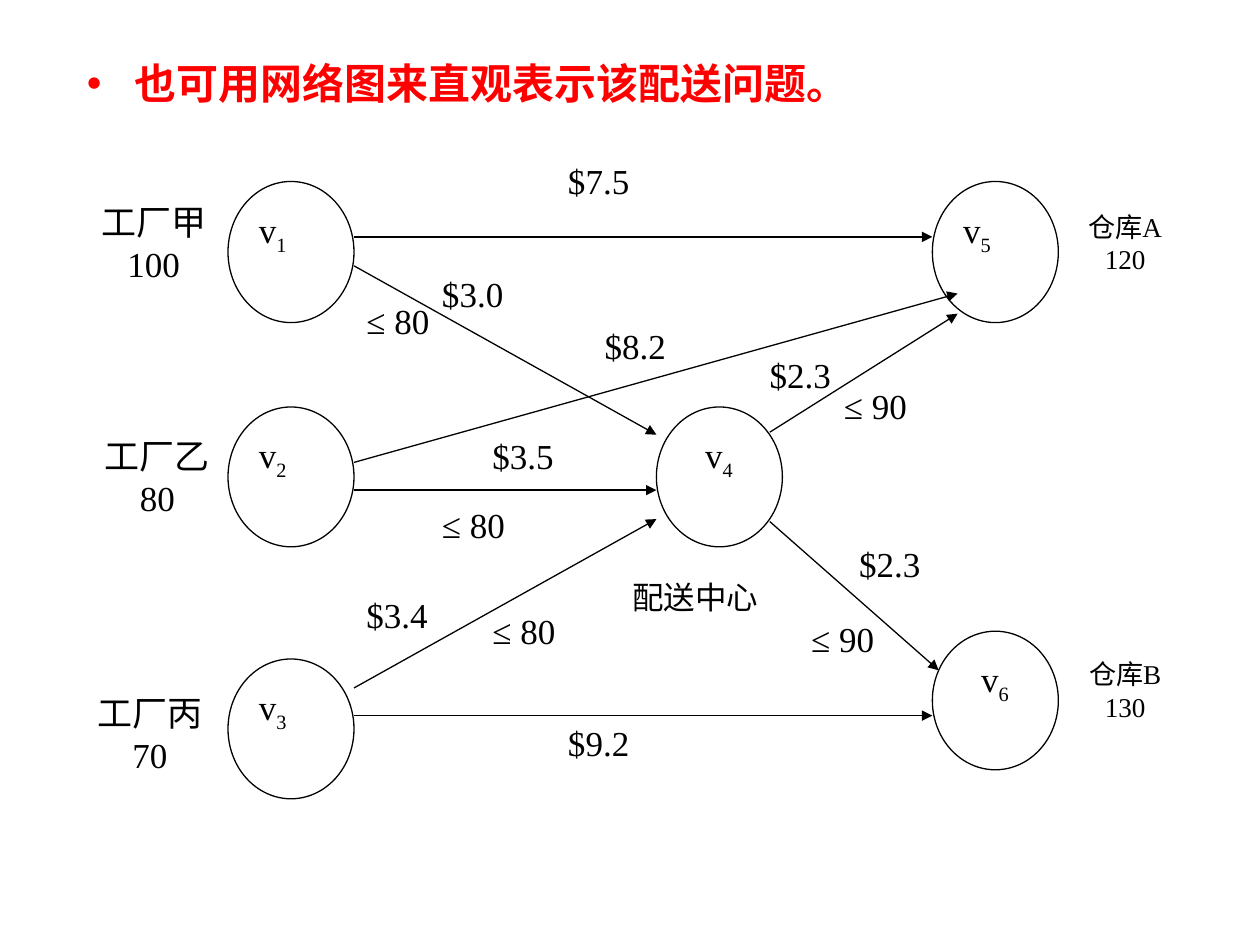
from lxml.etree import SubElement
from pptx import Presentation
from pptx.dml.color import RGBColor
from pptx.enum.shapes import MSO_CONNECTOR as Connector, MSO_SHAPE as Shape
from pptx.enum.text import MSO_ANCHOR as Anchor, MSO_AUTO_SIZE as AutoSize, PP_ALIGN as Align
from pptx.oxml.ns import qn
from pptx.util import Inches, Pt

COLORS = {"ink": "000000", "paper": "FFFFFF", "accent": "FF0000"}
FONT = "Times New Roman"

SITES = [
    (0.62, 1.54, 1.2, 20, "工厂甲", "100"),
    (0.65, 3.4, 1.2, 20, "工厂乙", "80"),
    (0.59, 5.44, 1.2, 20, "工厂丙", "70"),
    (8.23, 1.62, 1.4, 15.5, "仓库A", "120"),
    (8.23, 5.17, 1.4, 15.5, "仓库B", "130"),
]
EDGE_LABELS = [
    (4.41, 1.22, "$7.5"), (2.81, 2.33, "≤ 80"), (3.41, 2.11, "$3.0"),
    (4.7, 2.53, "$8.2"), (6.01, 2.76, "$2.3"), (6.6, 3, "≤ 90"),
    (3.81, 3.4, "$3.5"), (3.41, 3.95, "≤ 80"), (2.81, 4.66, "$3.4"),
    (3.81, 4.79, "≤ 80"), (6.72, 4.26, "$2.3"), (6.34, 4.85, "≤ 90"),
    (4.41, 5.68, "$9.2"),
]
NODES = [
    (1.81, 1.44, 1.12, "1", 0.1), (1.81, 3.23, 1.11, "2", 0.1),
    (1.81, 5.23, 1.11, "3", 0.1), (5.21, 3.23, 1.11, "4", 0.24),
    (7.4, 1.44, 1.12, "5", 0.1), (7.4, 5.01, 1.1, "6", 0.24),
]
ROUTES = [
    (2.81, 1.88, 7.4, 1.88), (2.81, 2.11, 5.21, 3.45),
    (2.81, 3.67, 7.6, 2.33), (2.81, 3.89, 5.21, 3.89),
    (2.81, 5.46, 5.21, 4.12), (2.81, 5.68, 7.4, 5.68),
    (6.11, 3.43, 7.6, 2.49), (6.11, 4.14, 7.45, 5.32),
]


def color(name):
    """Return the named palette colour."""
    return RGBColor.from_string(COLORS[name])


def style(para, size, ink="ink", bold=False):
    """Set the font of a whole paragraph."""
    para.font.name = FONT
    para.font.size = Pt(size)
    para.font.bold = bold
    para.font.color.rgb = color(ink)


def add_box(page, kind, place, outline, lines, size, align):
    """Add a white shape with top-anchored lines of text."""
    box = page.shapes.add_shape(kind, *map(Inches, place))
    box.shadow.inherit = False
    box.fill.solid()
    box.fill.fore_color.rgb = color("paper")
    box.line.color.rgb = color(outline)
    box.line.width = Pt(0.75)
    frame = box.text_frame
    frame.word_wrap = True
    frame.vertical_anchor = Anchor.TOP
    frame.text = "\n".join(lines)
    for para in frame.paragraphs:
        para.alignment = align
        style(para, size)
    return box


def add_node(page, left, top, height, number, inset):
    """Add a round network node named v with a subscript number."""
    node = add_box(page, Shape.OVAL, (left, top, 1, height), "ink", ["v"], 20, Align.JUSTIFY)
    node.text_frame.margin_left = Inches(inset)
    span = node.text_frame.paragraphs[0].add_run()
    span.text = number
    span.font._element.set("baseline", "-25000")


def add_route(page, ends):
    """Add a thin line with an arrowhead at its end."""
    route = page.shapes.add_connector(Connector.STRAIGHT, *map(Inches, ends))
    route.line.color.rgb = color("ink")
    route.line.width = Pt(0.75)
    SubElement(route.line._get_or_add_ln(), qn("a:tailEnd"), type="triangle")
    SubElement(route._element.spPr, qn("a:effectLst"))


def add_center_caption(page):
    """Add the caption below the distribution centre."""
    box = page.shapes.add_textbox(*map(Inches, (4.92, 4.54, 1.26, 0.4)))
    frame = box.text_frame
    frame.word_wrap = True
    frame.auto_size = AutoSize.SHAPE_TO_FIT_TEXT
    frame.text = "配送中心"
    style(frame.paragraphs[0], 18)


def fill_statement(page):
    """Put the bulleted statement in the body placeholder."""
    title = page.shapes.title
    title._element.getparent().remove(title._element)
    body = page.placeholders[1]
    body.left, body.top, body.width, body.height = map(Inches, (0.59, 0.41, 7.5, 0.5))
    frame = body.text_frame
    frame.auto_size = AutoSize.SHAPE_TO_FIT_TEXT
    frame.vertical_anchor = Anchor.TOP
    frame.text = "也可用网络图来直观表示该配送问题。"
    para = frame.paragraphs[0]
    para.space_before = Pt(0)
    props = para._p.get_or_add_pPr()
    props.set("marL", str(Inches(0.38)))
    props.set("indent", str(Inches(-0.38)))
    bullet_color = SubElement(props, qn("a:buClr"))
    SubElement(bullet_color, qn("a:srgbClr"), val=COLORS["accent"])
    SubElement(props, qn("a:buChar"), char="•")
    style(para, 24, "accent", True)


def main():
    """Build the distribution network slide."""
    deck = Presentation()
    deck.slide_width, deck.slide_height = Inches(10), Inches(7.5)
    page = deck.slides.add_slide(deck.slide_layouts[1])
    fill_statement(page)
    for left, top, width, size, *lines in SITES:
        add_box(page, Shape.RECTANGLE, (left, top, width, 0.67), "paper", lines, size, Align.CENTER)
    for left, top, label in EDGE_LABELS:
        add_box(page, Shape.RECTANGLE, (left, top, 0.8, 0.67), "paper", [label], 20, Align.JUSTIFY)
    for node in NODES:
        add_node(page, *node)
    for ends in ROUTES:
        add_route(page, ends)
    add_center_caption(page)
    deck.save("out.pptx")


if __name__ == "__main__":
    main()
